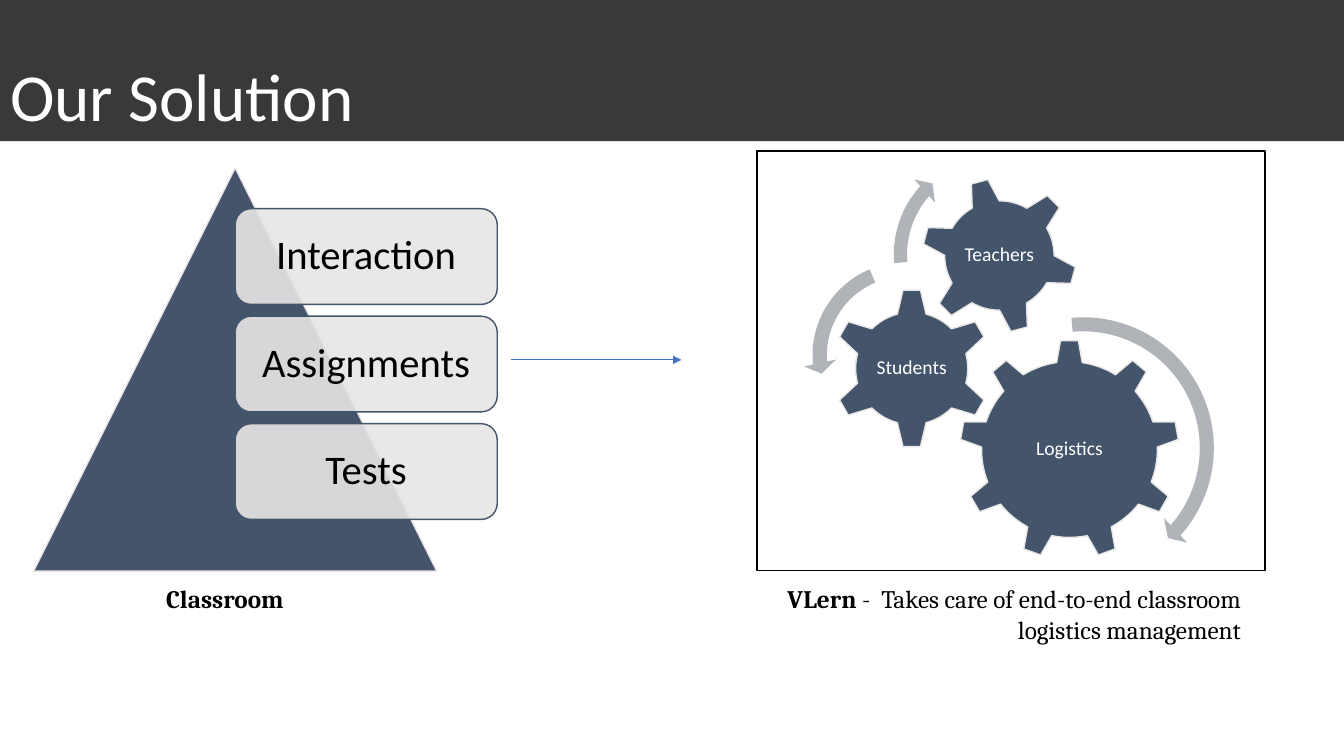
from lxml import etree
from pptx import Presentation
from pptx import util as u
from pptx.dml.color import RGBColor
from pptx.enum import shapes, text
from pptx.oxml.ns import qn

COLUMNS, ROWS = 160, 90
CELL = u.Inches(1 / 12)

WHITE = RGBColor(0xFF, 0xFF, 0xFF)
BLACK = RGBColor(0, 0, 0)
CHARCOAL = RGBColor(0x3B, 0x38, 0x38)
NAVY = RGBColor(0x44, 0x54, 0x6A)
LIGHT = RGBColor(0xE7, 0xE6, 0xE6)
SILVER = RGBColor(0xB0, 0xB4, 0xB9)
BLUE = RGBColor(0x44, 0x72, 0xC4)

Shape = shapes.MSO_SHAPE
Align = text.PP_ALIGN
Anchor = text.MSO_ANCHOR


def cells(*counts):
    """Turn columns or rows into lengths."""
    return [u.Emu(round(count * CELL)) for count in counts]


class SlideBuilder:
    body_font, caption_font = "Calibri", "Cambria"

    def __init__(self, presentation):
        self.slide = presentation.slides.add_slide(presentation.slide_layouts[5])

    def style(self, paragraph, size, color, font=body_font, align=Align.CENTER):
        paragraph.alignment = align
        paragraph.font.name = font
        paragraph.font.size = u.Pt(size)
        paragraph.font.color.rgb = color

    def label(self, shape, words, size, color, inset=0.02, align=Align.CENTER, anchor=Anchor.MIDDLE):
        frame = shape.text_frame
        frame.text = words
        frame.word_wrap = True
        frame.auto_size = text.MSO_AUTO_SIZE.NONE
        frame.vertical_anchor = anchor
        frame.margin_left = frame.margin_right = u.Inches(inset)
        frame.margin_top = frame.margin_bottom = u.Inches(inset)
        paragraph = frame.paragraphs[0]
        paragraph.line_spacing = 0.9
        self.style(paragraph, size, color, align=align)

    def title(self, words, box):
        title = self.slide.shapes.title
        title.left, title.top, title.width, title.height = cells(*box)
        title.fill.solid()
        title.fill.fore_color.rgb = CHARCOAL
        self.label(title, words, 48, WHITE, 0.1, Align.LEFT, Anchor.BOTTOM)
        title.text_frame.margin_bottom = u.Inches(0.05)

    def shape(self, kind, box, fill=None, line=None, opacity=None, adjustments=()):
        shape = self.slide.shapes.add_shape(kind, *cells(*box))
        shape.shadow.inherit = False
        if fill is None:
            shape.fill.background()
        else:
            shape.fill.solid()
            shape.fill.fore_color.rgb = fill
        if opacity is not None:
            color = shape._element.spPr.find(qn("a:solidFill")).find(qn("a:srgbClr"))
            etree.SubElement(color, qn("a:alpha"), val=str(opacity * 1000))
        if line is None:
            shape.line.fill.background()
        else:
            shape.line.color.rgb = line
            shape.line.width = u.Pt(1)
        for index, value in enumerate(adjustments):
            shape.adjustments[index] = value
        return shape

    def gear(self, words, kind, left, top, size, rotation=0):
        gear = self.shape(kind, (left, top, size, size), NAVY, LIGHT)
        gear.rotation = rotation
        margin = size / 5
        inner = size - 2 * margin
        box = self.slide.shapes.add_textbox(*cells(left + margin, top + margin, inner, inner))
        self.label(box, words, 14, WHITE)

    def card(self, words, box):
        card = self.shape(Shape.ROUNDED_RECTANGLE, box, LIGHT, NAVY, opacity=90)
        self.label(card, words, 29, BLACK, 0.12)

    def caption(self, box, name, lines=(), align=Align.LEFT):
        frame = self.slide.shapes.add_textbox(*cells(*box)).text_frame
        frame.word_wrap = True
        paragraph = frame.paragraphs[0]
        self.style(paragraph, 18, BLACK, self.caption_font, align)
        run = paragraph.add_run()
        run.text = name
        run.font.bold = True
        for index, line in enumerate(lines):
            if index:
                paragraph.add_line_break()
            paragraph.add_run().text = line

    def arrow(self, start, end):
        arrow = self.slide.shapes.add_connector(
            shapes.MSO_CONNECTOR.STRAIGHT, *cells(*start, *end))
        arrow.line.color.rgb = BLUE
        arrow.line.width = u.Pt(0.5)
        properties = arrow._element.spPr
        etree.SubElement(properties.find(qn("a:ln")), qn("a:tailEnd"), type="triangle")
        etree.SubElement(properties, qn("a:effectLst"))


def main():
    presentation = Presentation()
    presentation.slide_width, presentation.slide_height = cells(COLUMNS, ROWS)
    builder = SlideBuilder(presentation)
    builder.title("Our Solution", (0, 0, COLUMNS, 16.8))

    # Logistics gears
    for gear in (
        ("Logistics", Shape.GEAR_9, 114.24, 40.44, 26.16),
        ("Students", Shape.GEAR_6, 99, 34.32, 19.08),
        ("Teachers", Shape.GEAR_6, 109.68, 21.12, 18.6, 345),
    ):
        builder.gear(*gear)

    # Arrows showing how the gears turn
    for kind, left, top, size, adjustments in (
        (Shape.CIRCULAR_ARROW, 112.2, 36.6, 33.48, (0.05, 2.99, 25.01, 158.94, 0.06)),
        (Shape.LEFT_CIRCULAR_ARROW, 95.64, 30.12, 24.36, (0.07, 4.3, 104.89, 148.38, 0.08)),
        (Shape.CIRCULAR_ARROW, 105.36, 17.16, 26.28, (0.06, 3.94, 133.14, 105.08, 0.07)),
    ):
        builder.shape(kind, (left, top, size, size), SILVER, adjustments=adjustments)

    # Frame and caption of the product
    builder.caption((90.12, 68.9, 58.8, 8.5), "VLern",
                    (" -  Takes care of end-to-end classroom", "logistics management"),
                    Align.RIGHT)
    builder.shape(Shape.RECTANGLE, (90.12, 18, 60.48, 49.92), line=BLACK)

    # Classroom pyramid
    builder.shape(Shape.ISOSCELES_TRIANGLE, (4, 20, 48, 48), NAVY, LIGHT)
    for index, words in enumerate(("Interaction", "Assignments", "Tests")):
        builder.card(words, (28, 24.84 + 12.8 * index, 31.2, 11.4))
    builder.caption((18.6, 68.9, 17.5, 4.8), "Classroom")

    # Link from classroom to product
    builder.arrow((60.84, 42.84), (81.12, 42.84))

    presentation.save("out.pptx")


if __name__ == "__main__":
    main()
